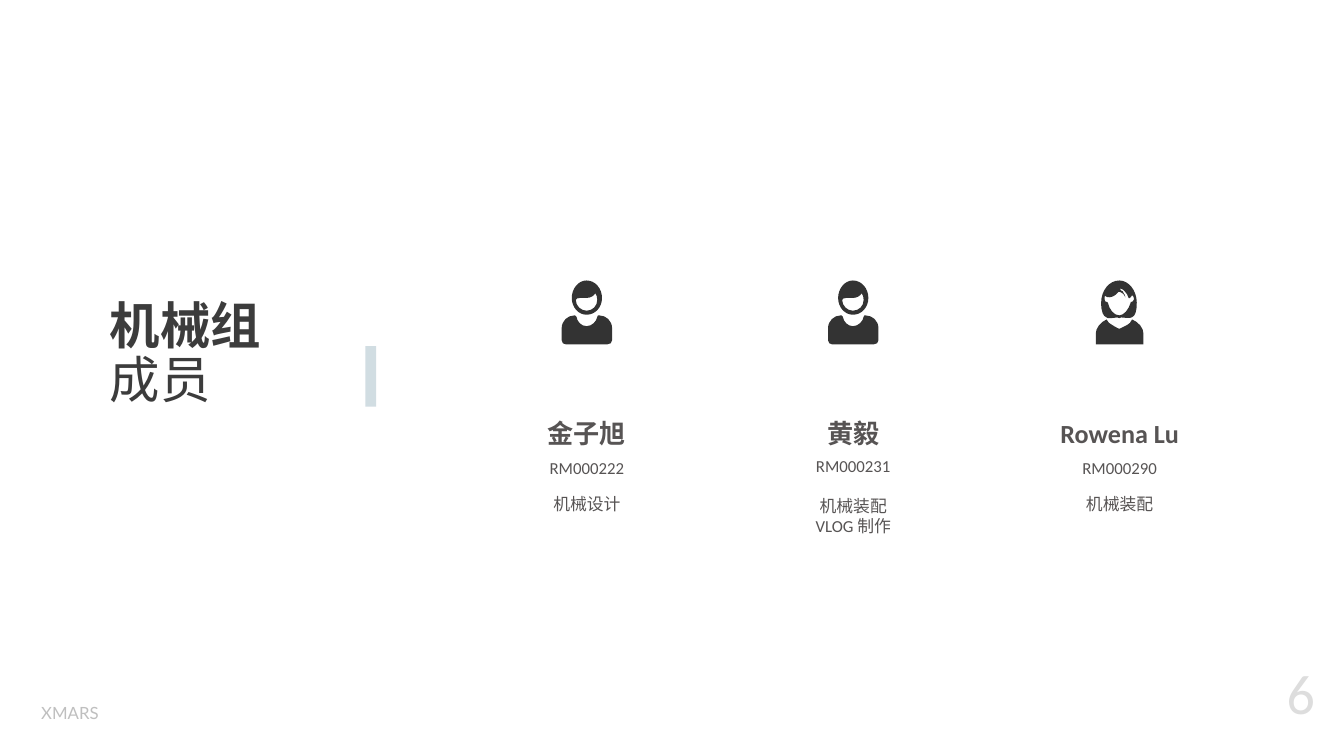
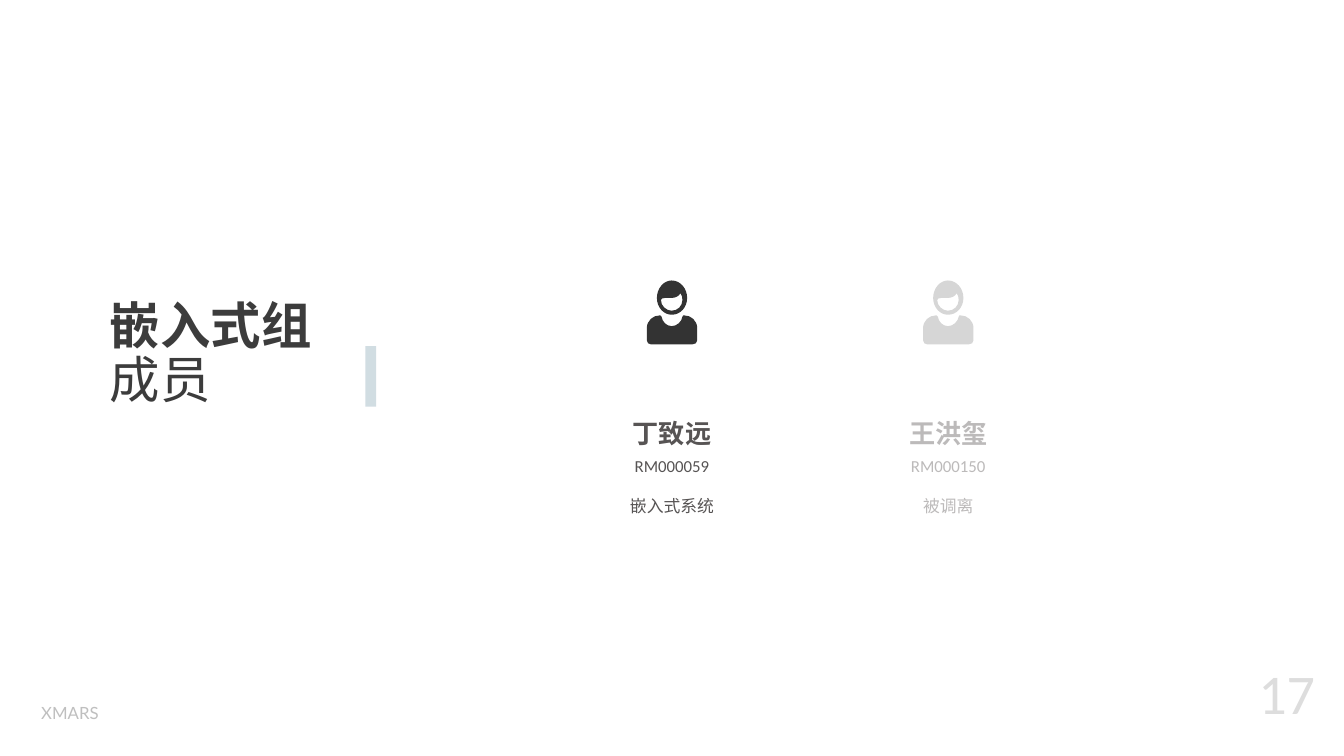
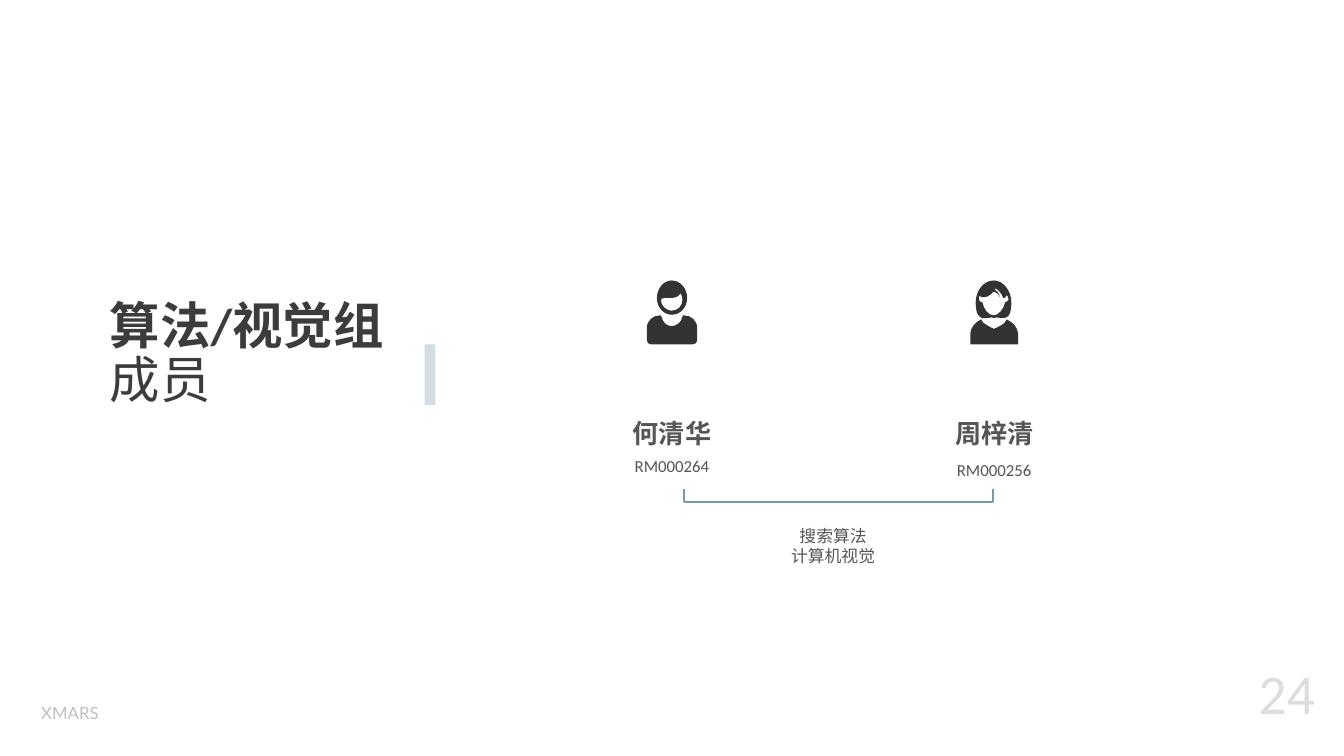
from lxml import etree
from pptx import Presentation
from pptx import util as u
from pptx.dml.color import RGBColor
from pptx.enum import shapes, text
from pptx.oxml.ns import qn

Pt = u.Pt
COLORS = {
    "paper": "FFFFFF", "title": "3C3C3C", "body": "575454", "icon": "333333",
    "faded_text": "BCBABA", "faded_icon": "D6D6D6", "accent": "D1DDE2",
    "bracket": "779CA9", "footer": "BFBFBF", "number": "DDDDDD",
}
BODY_FONT, FOOTER_FONT = "Calibri", "Lato"
COLUMN_WIDTH = 259.2
HIGH, LOW = 484.5, 489
ICON_TOP, ICON_UNIT = 300.5, 0.72

MAN = (75, [
    [(19, 52), (20, 52), (21, 52, 22, 53, 22, 54), (23, 61, 29, 68, 37, 68),
     (45, 68, 52, 61, 53, 54), (53, 53, 54, 52, 54, 52), (56, 52),
     (66, 52, 75, 60, 75, 71), (75, 89), (75, 93, 72, 95, 68, 95), (6, 95),
     (3, 95, 0, 93, 0, 89), (0, 71), (0, 60, 9, 52, 19, 52)],
    [(50, 19), (48, 23, 43, 26, 37, 26), (32, 26, 21, 25, 21, 29),
     (21, 38, 29, 45, 37, 45), (46, 45, 53, 38, 53, 29), (53, 25, 52, 21, 50, 19)],
    [(37, 0), (50, 0, 60, 12, 60, 26), (60, 40, 50, 51, 37, 51),
     (25, 51, 15, 40, 15, 26), (15, 12, 25, 0, 37, 0)],
])
WOMAN = (71, [
    [(16, 58), (18, 62, 21, 65, 24, 66), (30, 70, 35, 72, 35, 72),
     (35, 72, 40, 70, 47, 66), (50, 65, 52, 62, 54, 58), (64, 62, 71, 71, 71, 79),
     (71, 95), (0, 95), (0, 79), (0, 71, 7, 62, 16, 58)],
    [(37, 12), (36, 13), (38, 15), (40, 16), (41, 18), (42, 20), (43, 21), (44, 25),
     (43, 23), (41, 20), (38, 18), (36, 17), (34, 17), (33, 18, 32, 20, 30, 21),
     (24, 26, 17, 26, 14, 23), (14, 23, 13, 23, 13, 24), (12, 25, 12, 26, 13, 28),
     (13, 31, 15, 32, 16, 32), (17, 32), (18, 33), (20, 43, 27, 52, 35, 52),
     (42, 52, 49, 43, 52, 33), (52, 32), (53, 32), (54, 32, 56, 31, 57, 28),
     (57, 26, 57, 25, 56, 24), (56, 23, 56, 23, 55, 23), (55, 22, 55, 22, 54, 22),
     (54, 23, 53, 24, 52, 25), (47, 30, 50, 22, 43, 16), (42, 14, 39, 13, 37, 12)],
    [(35, 0), (49, 0, 61, 15, 61, 33), (61, 60, 51, 56, 38, 55),
     (37, 55, 36, 56, 35, 56), (34, 56, 33, 55, 32, 55), (27, 56, 22, 56, 18, 56),
     (17, 56, 17, 55, 16, 55), (11, 53, 8, 47, 8, 33), (8, 15, 20, 0, 35, 0)],
])


def curve_segments(shape, contours):
    segments = [segment for contour in contours for segment in contour[1:]]
    for element, segment in zip(list(shape._element.iter(qn("a:lnTo"))), segments):
        if len(segment) == 2:
            continue
        element.tag = qn("a:cubicBezTo")
        for index in (0, 2):
            handle = etree.Element(qn("a:pt"))
            handle.set("x", str(Pt(segment[index] * ICON_UNIT)))
            handle.set("y", str(Pt(segment[index + 1] * ICON_UNIT)))
            element.insert(index // 2, handle)


class Deck:
    def __init__(self):
        self.prs = Presentation()
        self.prs.slide_width, self.prs.slide_height = Pt(1440), Pt(810)
        self.slide = None

    def color(self, name):
        return RGBColor.from_string(COLORS[name])

    def start(self, group, number, bar_left, bar_top):
        self.slide = self.prs.slides.add_slide(self.prs.slide_layouts[5])
        fill = self.slide.background.fill
        fill.solid()
        fill.fore_color.rgb = self.color("paper")
        self.title(group)
        self.bar(bar_left, bar_top)
        brand = self.text(["XMARS"], 21, 749.5, 108, 29, 18, "footer", font=FOOTER_FONT)
        brand.word_wrap = False
        brand.auto_size = text.MSO_AUTO_SIZE.SHAPE_TO_FIT_TEXT
        page = self.text([number], 1309, 706, 100, 73, 60, "number",
                         align=text.PP_ALIGN.RIGHT)
        page.margin_left = page.margin_right = page.margin_top = page.margin_bottom = 0

    def run(self, paragraph, words, size, color, bold=False, font=BODY_FONT):
        run = paragraph.add_run()
        run.text = words
        run.font.name, run.font.size, run.font.bold = font, Pt(size), bold
        run.font.color.rgb = self.color(color)

    def title(self, group):
        title = self.slide.shapes.title
        title.left, title.top, title.width, title.height = Pt(110.5), Pt(167), Pt(355.5), Pt(275.5)
        frame = title.text_frame
        frame.word_wrap = True
        frame.auto_size = text.MSO_AUTO_SIZE.NONE
        frame.vertical_anchor = text.MSO_ANCHOR.BOTTOM
        paragraph = frame.paragraphs[0]
        paragraph.alignment = text.PP_ALIGN.LEFT
        paragraph.line_spacing = 0.9
        self.run(paragraph, group, 54, "title", bold=True)
        paragraph.add_line_break()
        self.run(paragraph, "成员", 54, "title")

    def text(self, lines, left, top, width, height, size, color, bold=False, font=BODY_FONT,
             align=text.PP_ALIGN.CENTER, anchor=text.MSO_ANCHOR.TOP, spacing=1.0, gap=0):
        frame = self.slide.shapes.add_textbox(Pt(left), Pt(top), Pt(width), Pt(height)).text_frame
        frame.word_wrap = True
        frame.vertical_anchor = anchor
        for index, words in enumerate(lines):
            paragraph = frame.paragraphs[0] if index == 0 else frame.add_paragraph()
            paragraph.alignment = align
            paragraph.line_spacing = spacing
            if index == 1:
                paragraph.space_before = Pt(gap)
            self.run(paragraph, words, size, color, bold, font)
        return frame

    def bar(self, left, top):
        bar = self.slide.shapes.add_shape(shapes.MSO_SHAPE.RECTANGLE,
                                          Pt(left), Pt(top), Pt(11.5), Pt(64.8))
        self.paint(bar, "accent")

    def paint(self, shape, color):
        shape.shadow.inherit = False
        shape.fill.solid()
        shape.fill.fore_color.rgb = self.color(color)
        shape.line.fill.background()

    def icon(self, figure, center, color):
        width, contours = figure
        builder = None
        for contour in contours:
            points = [(Pt(part[-2] * ICON_UNIT), Pt(part[-1] * ICON_UNIT)) for part in contour]
            if builder is None:
                builder = self.slide.shapes.build_freeform(*points[0])
            else:
                builder.move_to(*points[0])
            builder.add_line_segments(points[1:], close=True)
        person = builder.convert_to_shape(Pt(center - width * ICON_UNIT / 2), Pt(ICON_TOP))
        curve_segments(person, contours)
        self.paint(person, color)

    def member(self, center, figure, name, details, top=HIGH, height=112, spacing=1.0,
               faded=False):
        ink, icon_ink = ("faded_text", "faded_icon") if faded else ("body", "icon")
        left = center - COLUMN_WIDTH / 2
        self.icon(figure, center, icon_ink)
        self.text([name], left, 442, COLUMN_WIDTH, 42.5, 28, ink, bold=True,
                  anchor=text.MSO_ANCHOR.BOTTOM)
        self.text(details, left, top, COLUMN_WIDTH, height, 18, ink,
                  spacing=spacing, gap=21.8 * spacing)

    def line(self, x1, y1, x2, y2):
        line = self.slide.shapes.add_connector(shapes.MSO_CONNECTOR.STRAIGHT,
                                               Pt(x1), Pt(y1), Pt(x2), Pt(y2))
        line.line.color.rgb = self.color("bracket")
        line.line.width = Pt(2.25)
        etree.SubElement(line._element.spPr, qn("a:effectLst"))

    def bracket(self, left, right, top, bottom):
        self.line(left, bottom, right, bottom)
        for x in (left, right):
            self.line(x, bottom, x, top)


def main():
    deck = Deck()

    deck.start("机械组", "6", 391.5, 371)
    deck.member(628.8, MAN, "金子旭", ["RM000222", "机械设计"], LOW, 70.5, 0.9)
    deck.member(914.2, MAN, "黄毅", ["RM000231", "机械装配", "VLOG 制作"])
    deck.member(1199.6, WOMAN, "Rowena Lu", ["RM000290", "机械装配"], LOW, 70.5, 0.9)

    deck.start("嵌入式组", "17", 391.5, 371)
    deck.member(720, MAN, "丁致远", ["RM000059", "嵌入式系统"])
    deck.member(1016, MAN, "王洪玺", ["RM000150", "被调离"], faded=True)

    deck.start("算法/视觉组", "24", 455, 369)
    deck.member(720, MAN, "何清华", ["RM000264"])
    deck.member(1065.2, WOMAN, "周梓清", ["RM000256"], LOW, 70.5)
    deck.bracket(733, 1064, 524, 538)
    deck.text(["搜索算法", "计算机视觉"], 763, 559.5, COLUMN_WIDTH, 112, 18, "body")

    deck.prs.save("out.pptx")


if __name__ == "__main__":
    main()
